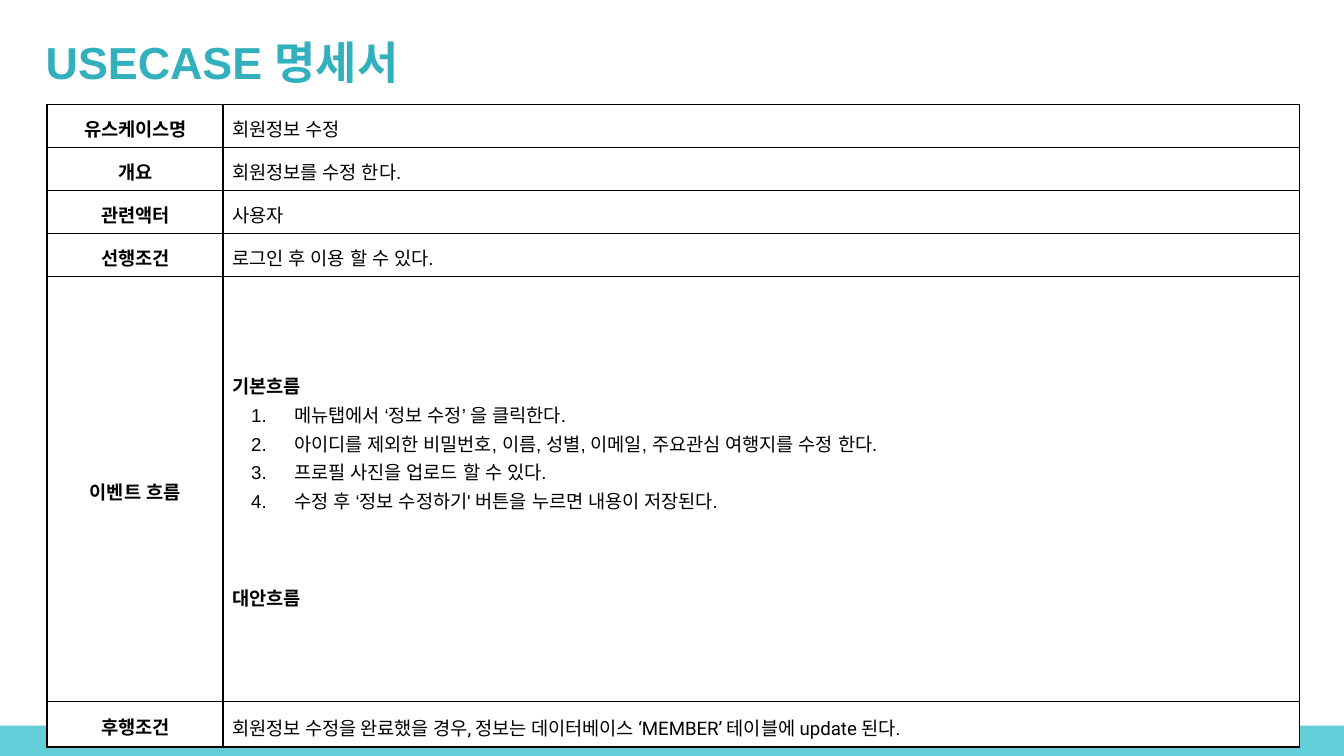
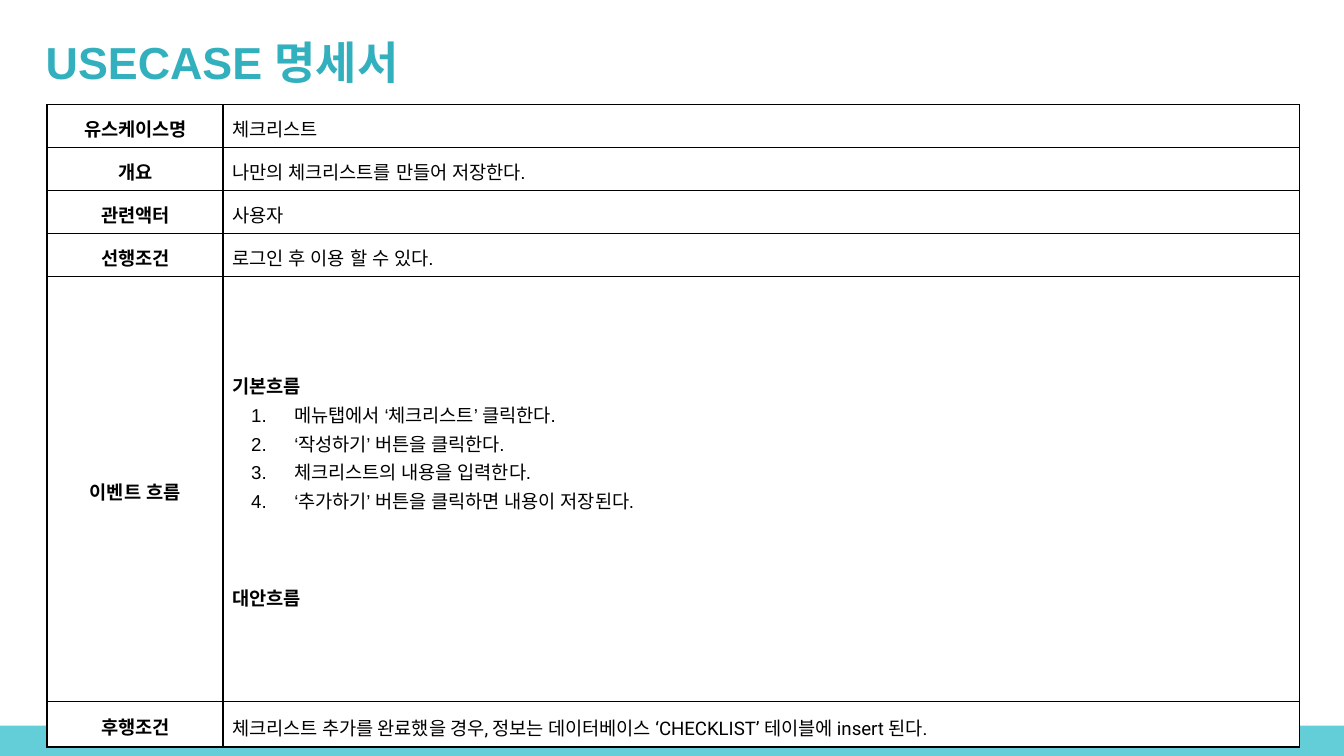
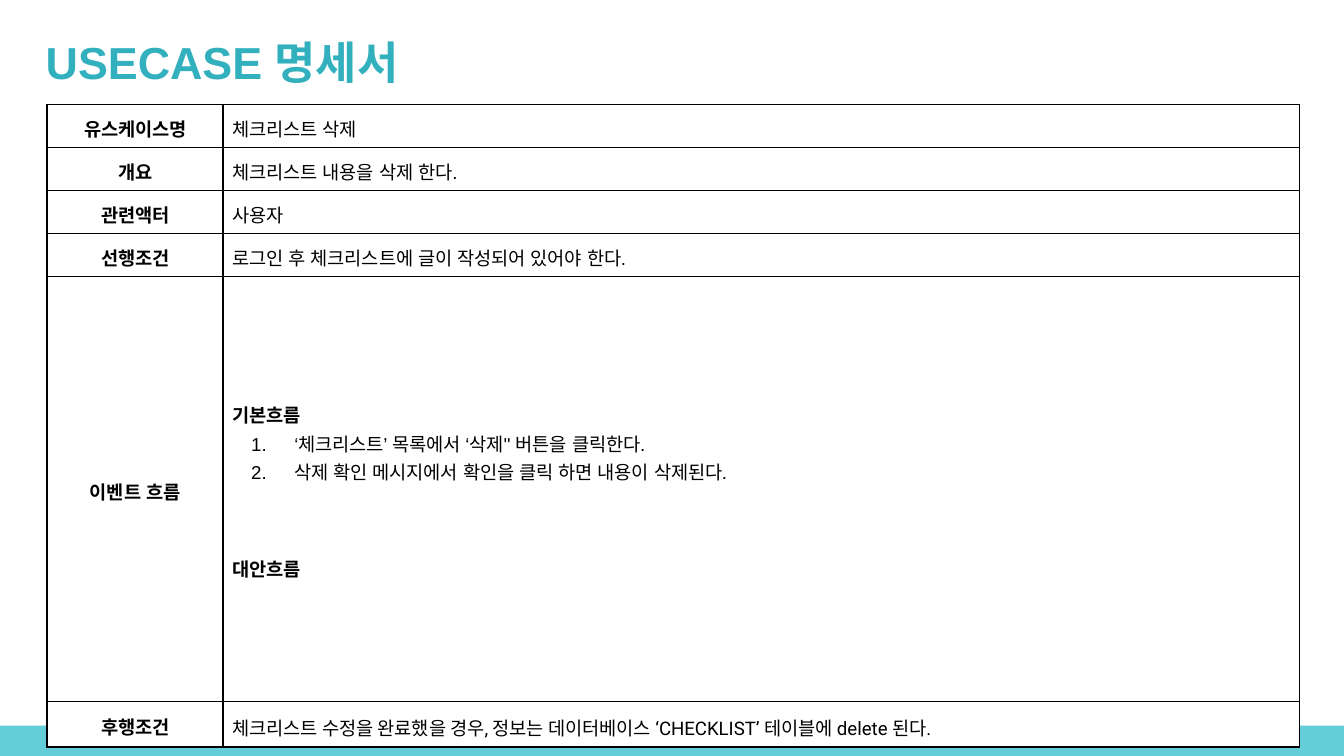
import pptx
import pptx.dml.color
import pptx.enum.shapes
import pptx.enum.text
import pptx.oxml
import pptx.oxml.ns
import pptx.util

Inches = pptx.util.Inches
Pt = pptx.util.Pt
RGBColor = pptx.dml.color.RGBColor
Align = pptx.enum.text.PP_ALIGN
Anchor = pptx.enum.text.MSO_ANCHOR

# Shared look
TEAL = RGBColor(0x32, 0xB0, 0xBE)
BAND = RGBColor(0x64, 0xCE, 0xD8)
BLACK = RGBColor(0, 0, 0)
WHITE = RGBColor(0xFF, 0xFF, 0xFF)
WIDE = 10
HIGH = WIDE * 9 / 16
BAND_TOP = 5.4
COLS = [1.31, 8.01]
ROWS = [0.32, 0.32, 0.32, 0.32, 3.16, 0.34]
LINE = 1.38
LOOSE = 1.5

TITLE = "USECASE 명세서"
LABELS = ["유스케이스명", "개요", "관련액터", "선행조건", "이벤트 흐름", "후행조건"]

# Each case: name, summary, actor, condition, steps, result
CASES = [
    ("회원정보 수정", "회원정보를 수정 한다.", "사용자", "로그인 후 이용 할 수 있다.",
     ["메뉴탭에서 ‘정보 수정’ 을 클릭한다.",
      "아이디를 제외한 비밀번호, 이름, 성별, 이메일, 주요관심 여행지를 수정 한다.",
      "프로필 사진을 업로드 할 수 있다.",
      "수정 후 ‘정보 수정하기' 버튼을 누르면 내용이 저장된다."],
     "회원정보 수정을 완료했을 경우, 정보는 데이터베이스 ‘MEMBER’ 테이블에 update 된다."),
    ("체크리스트", "나만의 체크리스트를 만들어 저장한다.", "사용자",
     "로그인 후 이용 할 수 있다.",
     ["메뉴탭에서 ‘체크리스트’ 클릭한다.",
      "‘작성하기’ 버튼을 클릭한다.",
      "체크리스트의 내용을 입력한다.",
      "‘추가하기’ 버튼을 클릭하면 내용이 저장된다."],
     "체크리스트 추가를 완료했을 경우, 정보는 데이터베이스 ‘CHECKLIST’ 테이블에 insert 된다."),
    ("체크리스트 삭제", "체크리스트 내용을 삭제 한다.", "사용자",
     "로그인 후 체크리스트에 글이 작성되어 있어야 한다.",
     ["‘체크리스트’ 목록에서 ‘삭제'' 버튼을 클릭한다.",
      "삭제 확인 메시지에서 확인을 클릭 하면 내용이 삭제된다."],
     "체크리스트 수정을 완료했을 경우, 정보는 데이터베이스 ‘CHECKLIST’ 테이블에 delete 된다."),
]


def add_child(parent, tag, **attrs):
    child = parent.makeelement(pptx.oxml.ns.qn(tag), attrs)
    parent.append(child)
    return child


def write(para, text, size=10, color=BLACK, bold=False, face="Arial", line=LINE):
    para.text = text
    para.line_spacing = line
    font = para.font
    font.name, font.size, font.bold = face, Pt(size), bold
    font.color.rgb = color
    # Korean letters and quotes follow the same face
    add_child(font._element, "a:ea", typeface=face)


def add_band(slide):
    band = slide.shapes.add_shape(
        pptx.enum.shapes.MSO_SHAPE.RECTANGLE, 0, Inches(BAND_TOP),
        Inches(WIDE), Inches(HIGH - BAND_TOP))
    band.shadow.inherit = False
    band.fill.solid()
    band.fill.fore_color.rgb = BAND
    band.line.fill.background()


def add_title(slide):
    box = slide.shapes.add_textbox(
        Inches(0.27), Inches(0.19), Inches(9.49), Inches(0.59))
    frame = box.text_frame
    frame.word_wrap = True
    frame.vertical_anchor = Anchor.MIDDLE
    frame.margin_left = frame.margin_right = Inches(0.07)
    frame.margin_top = frame.margin_bottom = Inches(0.04)
    write(frame.paragraphs[0], TITLE, 24, TEAL, True, line=0.9)


def number(para):
    """Give a paragraph a hanging automatic number."""
    props = para._p.get_or_add_pPr()
    props.set("marL", str(Inches(0.46)))
    props.set("indent", str(Inches(-0.32)))
    color = add_child(props, "a:buClr")
    add_child(color, "a:srgbClr", val=str(BLACK))
    add_child(props, "a:buAutoNum", type="arabicPeriod")


def style(cell, left):
    """Set margins, thin black borders and white fill."""
    cell.vertical_anchor = Anchor.MIDDLE
    cell.margin_left, cell.margin_right = Inches(left), Inches(0.03)
    cell.margin_top = cell.margin_bottom = Inches(0.02)
    props = cell._tc.get_or_add_tcPr()
    for side in "LRTB":
        edge = add_child(props, "a:ln" + side, w=str(Pt(0.75)))
        fill = add_child(edge, "a:solidFill")
        add_child(fill, "a:srgbClr", val=str(BLACK))
    cell.fill.solid()
    cell.fill.fore_color.rgb = WHITE


def write_flow(frame, steps):
    write(frame.paragraphs[0], "기본흐름", bold=True)
    for step in steps:
        para = frame.add_paragraph()
        number(para)
        write(para, step)
    para = frame.add_paragraph()
    write(para, "대안흐름", bold=True, line=LOOSE)
    para.space_before = Pt(35)


def add_case(slide, case):
    table = slide.shapes.add_table(
        len(ROWS), len(COLS), Inches(0.35), Inches(0.78),
        Inches(sum(COLS)), Inches(sum(ROWS))).table
    table.first_row = table.horz_banding = False
    for col, width in zip(table.columns, COLS):
        col.width = Inches(width)
    for row, height, label, value in zip(table.rows, ROWS, LABELS, case):
        row.height = Inches(height)
        head, body = row.cells
        style(head, 0.03)
        style(body, 0.07)
        para = head.text_frame.paragraphs[0]
        write(para, label, bold=True)
        para.alignment = Align.CENTER
        if isinstance(value, list):
            write_flow(body.text_frame, value)
        elif label == LABELS[-1]:
            write(body.text_frame.paragraphs[0], value, face="Roboto", line=LOOSE)
        else:
            write(body.text_frame.paragraphs[0], value)


def main():
    deck = pptx.Presentation()
    deck.slide_width, deck.slide_height = Inches(WIDE), Inches(HIGH)
    for case in CASES:
        slide = deck.slides.add_slide(deck.slide_layouts[6])
        add_band(slide)
        add_title(slide)
        add_case(slide, case)
    deck.save("out.pptx")


if __name__ == "__main__":
    main()
